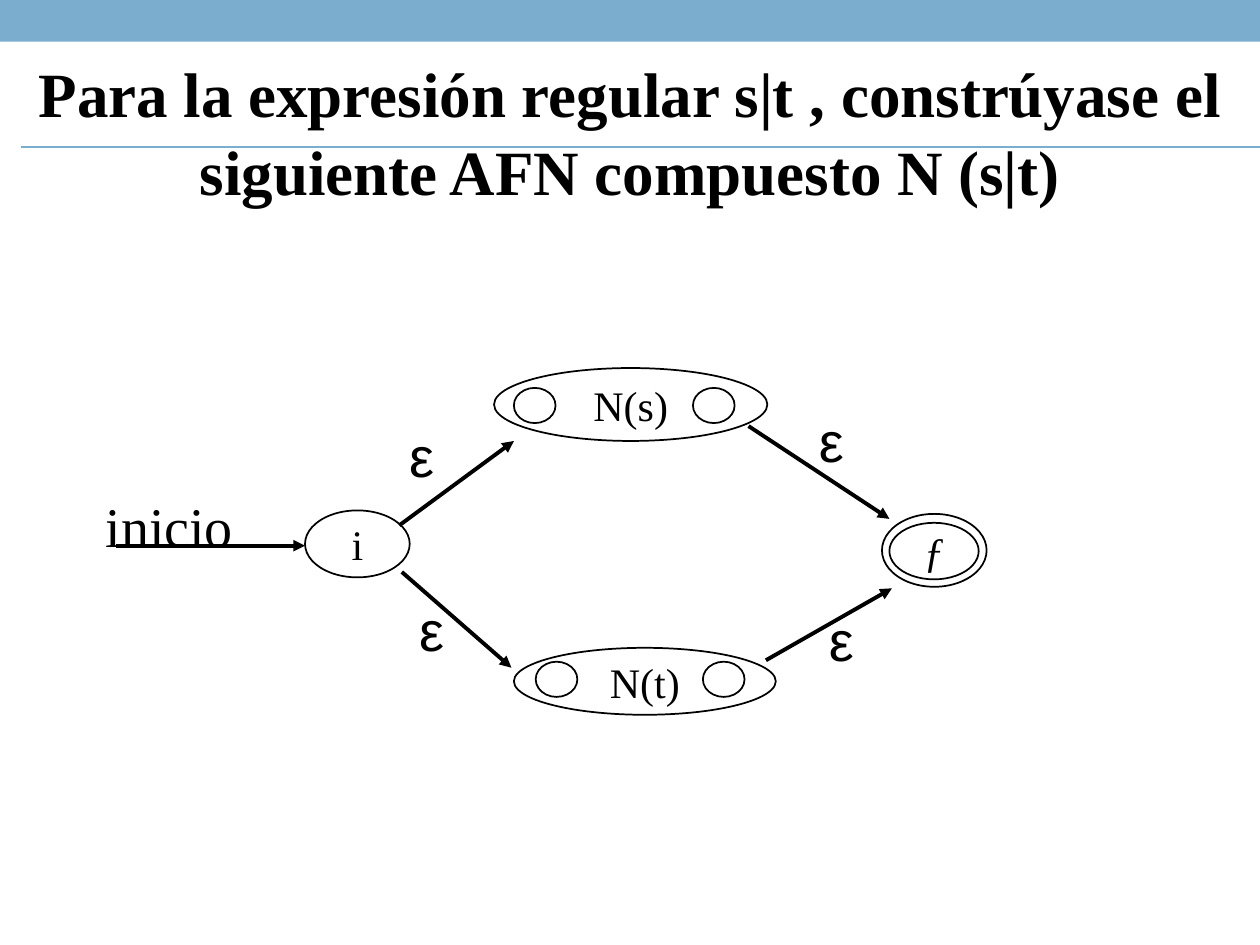
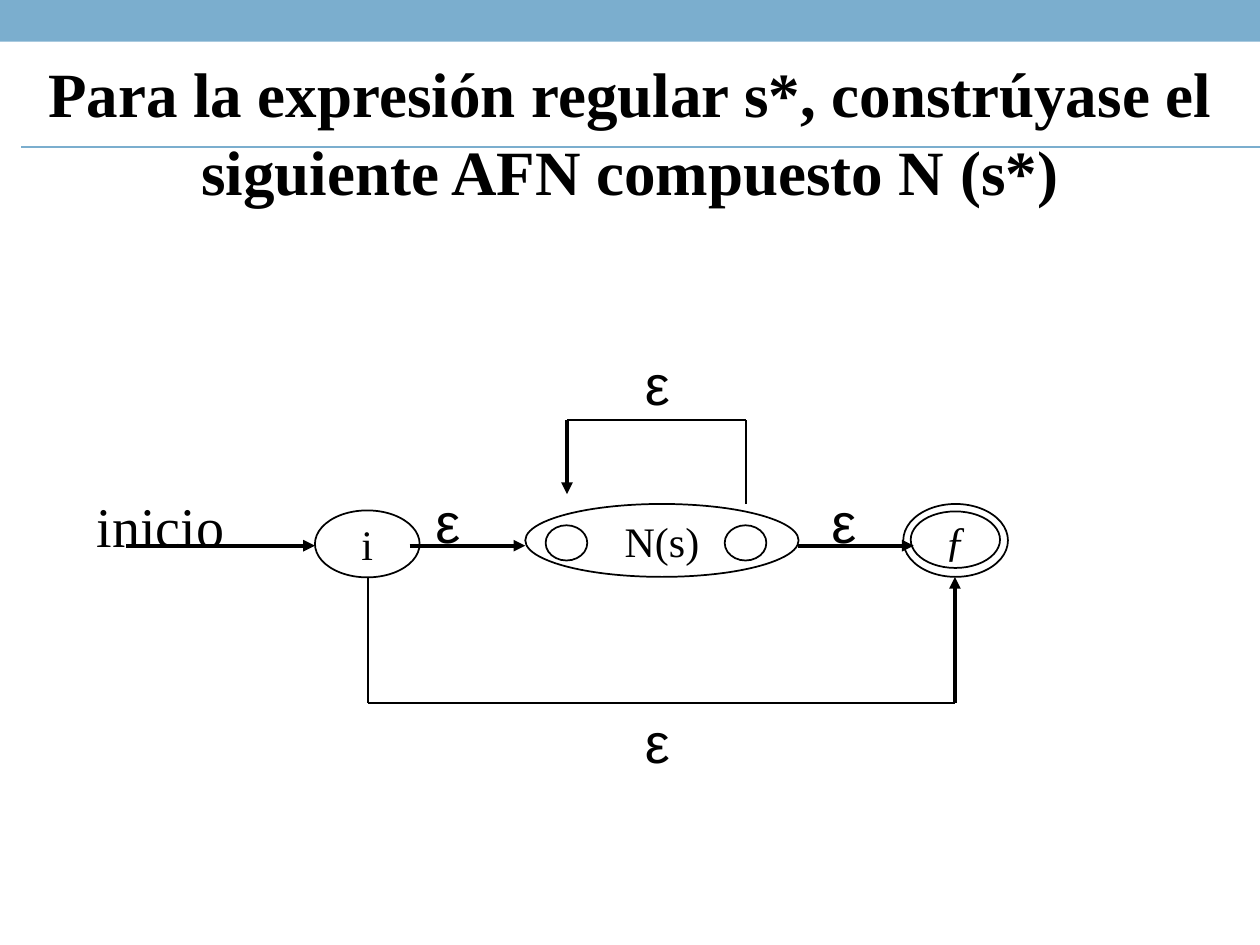
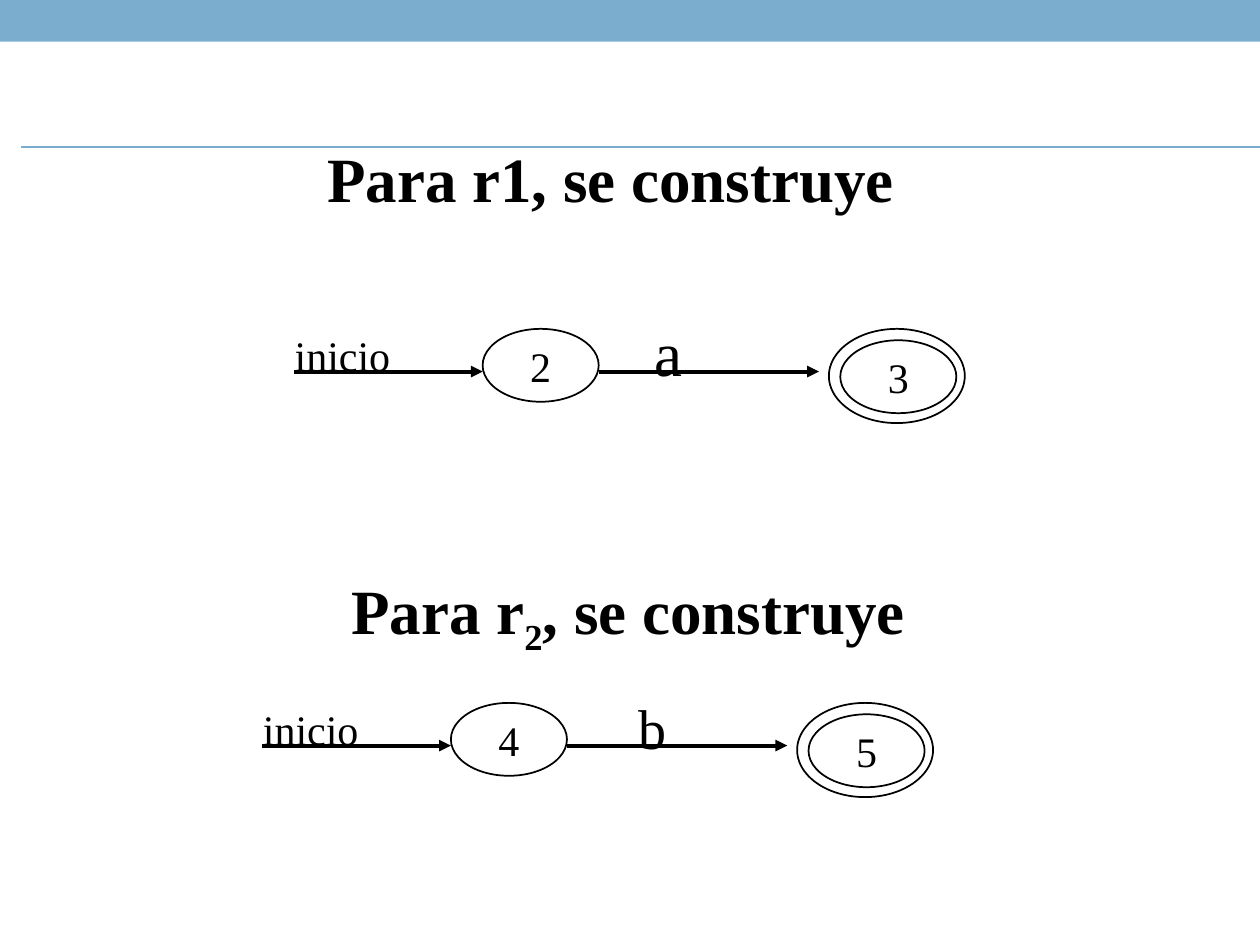
import pptx
import pptx.util
import pptx.dml.color
import pptx.enum.shapes
import pptx.enum.text
import pptx.oxml
import pptx.oxml.ns

Cm = pptx.util.Cm
Pt = pptx.util.Pt
LEFT = pptx.enum.text.PP_ALIGN.LEFT
CENTER = pptx.enum.text.PP_ALIGN.CENTER
OVAL = pptx.enum.shapes.MSO_SHAPE.OVAL
STRAIGHT = pptx.enum.shapes.MSO_CONNECTOR.STRAIGHT
COLORS = {"accent": "7BAECE", "ink": "000000"}
INK = pptx.dml.color.RGBColor.from_string(COLORS["ink"])
ACCENT = pptx.dml.color.RGBColor.from_string(COLORS["accent"])
SERIF, SANS = "Times New Roman", "Arial"

STATE = (2.11, 1.35)
FINAL_OUTER, FINAL_INNER = (2.11, 1.47), (1.8, 1.14)
MACHINE = (5.51, 1.47)
DOT = (0.84, 0.71)
INICIO, EPSILON = (4.6, 1.63), (1, 1.63)
TITLE_BOX = (0, 0.81, 25.4, 4.83)

union = {
    "titles": [(TITLE_BOX, ["Para la expresión regular s|t , constrúyase el siguiente AFN compuesto N (s|t)"], CENTER)],
    "arrows": [
        (2.34, 11, 6.15, 11),
        (8.05, 10.59, 10.36, 8.89),
        (15.44, 13.31, 17.98, 11.86),
        (8.1, 11.53, 10.31, 13.46),
        (15.09, 8.59, 17.93, 10.46),
    ],
    "lines": [],
    "ovals": [
        (6.15, 10.29, STATE, "i"),
        (17.78, 10.36, FINAL_OUTER, ""),
        (17.93, 10.54, FINAL_INNER, "ƒ"),
        (9.96, 7.42, MACHINE, "N(s)"),
        (10.36, 13.06, (5.28, 1.35), "N(t)"),
        (10.8, 13.34, DOT, ""),
        (14.17, 13.34, DOT, ""),
        (10.36, 7.82, DOT, ""),
        (13.97, 7.82, DOT, ""),
    ],
    "labels": [
        (1.88, 9.68, INICIO, "inicio", 32),
        (8, 8.28, EPSILON, "ε", 32),
        (8.2, 11.79, EPSILON, "ε", 32),
        (16.26, 7.98, EPSILON, "ε", 32),
        (16.46, 11.99, EPSILON, "ε", 32),
    ],
}

closure = {
    "titles": [(TITLE_BOX, ["Para la expresión regular s*, constrúyase el siguiente AFN compuesto N (s*)"], CENTER)],
    "arrows": [
        (2.54, 11, 6.35, 11),
        (8.26, 11, 10.59, 11),
        (16.08, 11, 18.42, 11),
        (19.25, 14.17, 19.25, 11.63),
        (11.43, 8.46, 11.43, 9.96),
    ],
    "lines": [
        (7.42, 11.63, 7.42, 14.17),
        (7.42, 14.17, 19.25, 14.17),
        (15.04, 10.16, 15.04, 8.46),
        (15.04, 8.46, 11.43, 8.46),
    ],
    "ovals": [
        (6.35, 10.29, STATE, "i"),
        (18.21, 10.16, FINAL_OUTER, ""),
        (18.36, 10.31, FINAL_INNER, "ƒ"),
        (10.59, 10.16, MACHINE, "N(s)"),
        (11, 10.59, DOT, ""),
        (14.61, 10.59, DOT, ""),
    ],
    "labels": [
        (1.7, 9.68, INICIO, "inicio", 32),
        (8.53, 9.6, EPSILON, "ε", 32),
        (16.51, 9.6, EPSILON, "ε", 32),
        (12.75, 14.05, EPSILON, "ε", 32),
        (12.75, 6.83, EPSILON, "ε", 32),
    ],
}

symbols = {
    "titles": [
        ((6.35, 2.54, 12.62, 3.3), ["Para r1, se construye"], LEFT),
        ((6.35, 11.23, 12.62, 3.53), ["Para r", "2", ", se construye"], CENTER),
    ],
    "arrows": [],
    "lines": [],
    "ovals": [],
    "labels": [(12.95, 6.1, (1.27, 1.78), "a", 36), (12.62, 13.77, (1.2, 1.63), "b", 32)],
}
for x, y, first, last in [(5.92, 7.49, "2", "3"), (5.28, 15.03, "4", "5")]:
    symbols["arrows"] += [(x, y, x + 3.81, y), (x + 6.15, y, x + 10.59, y)]
    symbols["ovals"] += [
        (x + 10.79, y - 0.86, (2.74, 1.9), ""),
        (x + 3.81, y - 0.86, (2.34, 1.47), first),
        (x + 11.02, y - 0.63, (2.34, 1.47), last),
    ]
    symbols["labels"].append((x - 0.23, y - 1.06, (3.56, 1.27), "inicio", 24))


def write(frame, pieces, size, font=SERIF, align=LEFT, bold=False, italic=False):
    paragraph = frame.paragraphs[0]
    paragraph.alignment = align
    for position, piece in enumerate(pieces):
        run = paragraph.add_run()
        run.text = piece
        if position == 1:
            run._r.get_or_add_rPr().set("baseline", "-25000")
    paragraph.font.size = Pt(size)
    paragraph.font.name = font
    paragraph.font.bold = bold
    paragraph.font.italic = italic
    paragraph.font.color.rgb = INK
    return paragraph


def connect(slide, ends, color, width, arrow=False):
    edge = slide.shapes.add_connector(STRAIGHT, *map(Cm, ends))
    edge.line.color.rgb = color
    edge.line.width = Pt(width)
    if arrow:
        tail = pptx.oxml.parse_xml(f'<a:tailEnd {pptx.oxml.ns.nsdecls("a")} type="triangle"/>')
        edge.line._get_or_add_ln().append(tail)
    edge._element.spPr.append(pptx.oxml.parse_xml(f'<a:effectLst {pptx.oxml.ns.nsdecls("a")}/>'))


deck = pptx.Presentation()
deck.slide_width, deck.slide_height = Cm(25.4), Cm(19.05)

for automaton in (union, closure, symbols):
    slide = deck.slides.add_slide(deck.slide_layouts[6])
    band = slide.shapes.add_shape(pptx.enum.shapes.MSO_SHAPE.RECTANGLE, 0, 0, Cm(25.4), Cm(0.84))
    band.shadow.inherit = False
    band.fill.solid()
    band.fill.fore_color.rgb = ACCENT
    band.line.fill.background()
    connect(slide, (0.43, 2.96, 25.4, 2.96), ACCENT, 1)

    for box, pieces, align in automaton["titles"]:
        title = slide.shapes.add_textbox(*map(Cm, box)).text_frame
        title.word_wrap = True
        title.margin_top = Cm(0.22)
        write(title, pieces, 36, align=align, bold=True).line_spacing = 1.04

    for ends in automaton["arrows"]:
        connect(slide, ends, INK, 2.25, arrow=True)
    for ends in automaton["lines"]:
        connect(slide, ends, INK, 1)

    for left, top, size, name in automaton["ovals"]:
        state = slide.shapes.add_shape(OVAL, *map(Cm, (left, top, *size)))
        state.shadow.inherit = False
        state.fill.background()
        state.line.color.rgb = INK
        state.line.width = Pt(1)
        if name:
            state.text_frame.word_wrap = False
            state.text_frame.vertical_anchor = pptx.enum.text.MSO_ANCHOR.MIDDLE
            write(state.text_frame, [name], 24, align=CENTER, italic=name == "ƒ")

    for left, top, size, symbol, points in automaton["labels"]:
        label = slide.shapes.add_textbox(*map(Cm, (left, top, *size))).text_frame
        label.word_wrap = True
        label.margin_top = Cm(0.22)
        write(label, [symbol], points, font=SANS if symbol == "ε" else SERIF)

deck.save("out.pptx")
